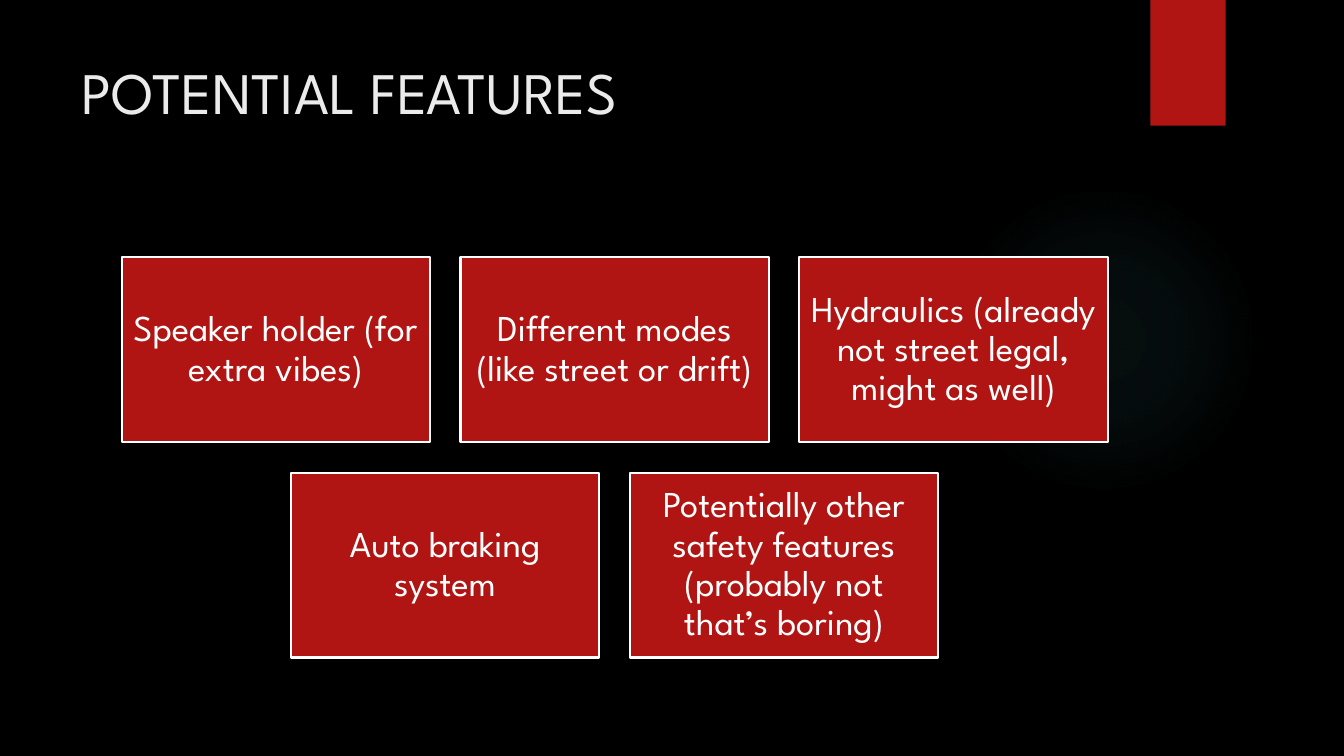
from dataclasses import dataclass

from lxml.etree import fromstring
from pptx import Presentation
from pptx.dml.color import RGBColor
from pptx.enum.shapes import MSO_SHAPE as Preset
from pptx.enum.text import MSO_ANCHOR as Anchor, PP_ALIGN as Align
from pptx.oxml.ns import nsdecls, qn
from pptx.util import Cm, Pt


@dataclass(frozen=True)
class Theme:
    font: str = "League Spartan"
    background: str = "000000"
    accent: str = "B01513"
    title: str = "EBEBEB"
    light: str = "FFFFFF"
    glow: str = "50B9C1"
    title_size: int = 42
    card_size: int = 26
    outline: float = 1.5


THEME = Theme()

FEATURE_ROWS = [
    [
        "Speaker holder (for extra vibes)",
        "Different modes (like street or drift)",
        "Hydraulics (already not street legal, might as well)",
    ],
    [
        "Auto braking system",
        "Potentially other safety features (probably not that’s boring)",
    ],
]

# Card grid, in centimetres
CARD_WIDTH, CARD_HEIGHT = 7.77, 4.66
GAP = 0.77
GRID_CENTER, GRID_TOP = 15.49, 6.48


def color(name):
    return RGBColor.from_string(name)


def style_text(para, size, text_color):
    for span in para.runs:
        span.font.name = THEME.font
        span.font.size = Pt(size)
        span.font.color.rgb = color(text_color)


def add_block(page, preset, left, top, width, height):
    """Add a preset shape in the accent colour, without outline or shadow."""
    block = page.shapes.add_shape(preset, Cm(left), Cm(top), Cm(width), Cm(height))
    block.shadow.inherit = False
    block.fill.solid()
    block.fill.fore_color.rgb = color(THEME.accent)
    block.line.fill.background()
    return block


def add_glow(page, left, top, diameter):
    """Add a circle that fades out from its middle."""
    glow = add_block(page, Preset.OVAL, left, top, diameter, diameter)
    stops = "".join(
        f'<a:gs pos="{position * 1000}"><a:srgbClr val="{THEME.glow}">'
        f'<a:alpha val="{alpha * 1000}"/></a:srgbClr></a:gs>'
        for position, alpha in [(0, 7), (36, 6), (69, 0)]
    )
    gradient = fromstring(
        f'<a:gradFill {nsdecls("a")}><a:gsLst>{stops}</a:gsLst><a:path path="circle">'
        '<a:fillToRect l="50000" t="50000" r="50000" b="50000"/></a:path></a:gradFill>'
    )
    properties = glow.element.spPr
    properties.replace(properties.find(qn("a:solidFill")), gradient)


def set_title(page, text):
    title = page.shapes.title
    title.left, title.top, title.width, title.height = Cm(1.8), Cm(1.27), Cm(26.14), Cm(3.89)
    frame = title.text_frame
    frame.text = text
    frame.vertical_anchor = Anchor.TOP
    frame.paragraphs[0].alignment = Align.LEFT
    style_text(frame.paragraphs[0], THEME.title_size, THEME.title)


def add_card(page, text, left, top):
    card = add_block(page, Preset.RECTANGLE, left, top, CARD_WIDTH, CARD_HEIGHT)
    card.line.color.rgb = color(THEME.light)
    card.line.width = Pt(THEME.outline)
    frame = card.text_frame
    frame.text = text
    frame.word_wrap = True
    frame.vertical_anchor = Anchor.MIDDLE
    frame.margin_left = frame.margin_right = Cm(0.27)
    frame.margin_top = frame.margin_bottom = Cm(0.27)
    para = frame.paragraphs[0]
    para.alignment = Align.CENTER
    para.line_spacing = 0.9
    style_text(para, THEME.card_size, THEME.light)


def add_card_rows(page, rows):
    """Lay out the cards with every row centred on the same axis."""
    for row, texts in enumerate(rows):
        row_width = len(texts) * (CARD_WIDTH + GAP) - GAP
        top = GRID_TOP + row * (CARD_HEIGHT + GAP)
        for column, text in enumerate(texts):
            left = GRID_CENTER - row_width / 2 + column * (CARD_WIDTH + GAP)
            add_card(page, text, left, top)


def main():
    deck = Presentation()
    deck.slide_width, deck.slide_height = Cm(33.87), Cm(19.05)
    page = deck.slides.add_slide(deck.slide_layouts.get_by_name("Title Only"))
    page.background.fill.solid()
    page.background.fill.fore_color.rgb = color(THEME.background)

    add_glow(page, 23.9, 4.65, 7.82)
    add_block(page, Preset.RECTANGLE, 28.99, 0, 1.9, 3.17)
    set_title(page, "POTENTIAL FEATURES")
    add_card_rows(page, FEATURE_ROWS)
    deck.save("out.pptx")


if __name__ == "__main__":
    main()
